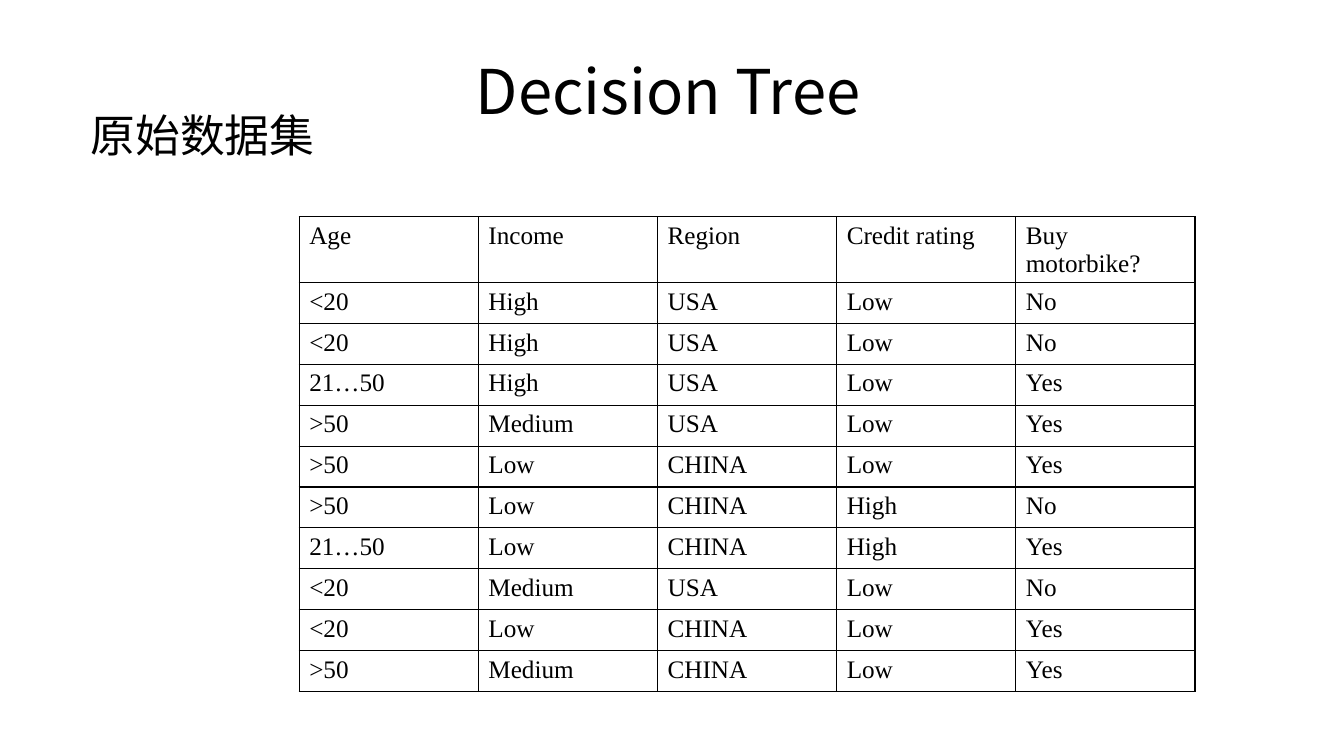
from dataclasses import dataclass

from lxml.etree import SubElement
from pptx import Presentation
from pptx.dml.color import RGBColor
from pptx.enum.text import MSO_ANCHOR, MSO_AUTO_SIZE, PP_ALIGN
from pptx.oxml.ns import qn
from pptx.slide import Slide
from pptx.table import _Cell
from pptx.text.text import TextFrame
from pptx.util import Cm, Pt


@dataclass(frozen=True)
class Theme:
    ink: str = "000000"
    heading_font: str = "Noto Sans CJK SC"
    table_font: str = "Times New Roman"
    title_size: int = 44
    label_size: int = 32
    table_size: int = 18
    border_width: int = 1


@dataclass(frozen=True)
class Area:
    """A rectangle in centimetres."""
    left: float
    top: float
    width: float
    height: float

    def lengths(self) -> tuple[Cm, Cm, Cm, Cm]:
        return Cm(self.left), Cm(self.top), Cm(self.width), Cm(self.height)


@dataclass(frozen=True)
class Customer:
    age: str
    income: str
    region: str
    credit: str
    buys: str

    def values(self) -> tuple[str, ...]:
        return self.age, self.income, self.region, self.credit, self.buys


THEME = Theme()
TITLE_AREA = Area(10.59, 0.53, 12.85, 3.68)
LABEL_AREA = Area(2.03, 2.59, 6.86, 1.63)
TABLE_AREA = Area(7.54, 5.46, 22.58, 11.33)

HEADINGS = ("Age", "Income", "Region", "Credit rating", "Buy motorbike?")
CUSTOMERS = (
    Customer("<20", "High", "USA", "Low", "No"),
    Customer("<20", "High", "USA", "Low", "No"),
    Customer("21…50", "High", "USA", "Low", "Yes"),
    Customer(">50", "Medium", "USA", "Low", "Yes"),
    Customer(">50", "Low", "CHINA", "Low", "Yes"),
    Customer(">50", "Low", "CHINA", "High", "No"),
    Customer("21…50", "Low", "CHINA", "High", "Yes"),
    Customer("<20", "Medium", "USA", "Low", "No"),
    Customer("<20", "Low", "CHINA", "Low", "Yes"),
    Customer(">50", "Medium", "CHINA", "Low", "Yes"),
)


def write(frame: TextFrame, text: str, *, font: str, size: int,
          align: PP_ALIGN = PP_ALIGN.LEFT, spacing: float = 1.0) -> None:
    frame.word_wrap = True
    para = frame.paragraphs[0]
    para.alignment = align
    para.line_spacing = spacing
    span = para.add_run()
    span.text = text
    span.font.name = font
    span.font.size = Pt(size)
    span.font.bold = False
    span.font.color.rgb = RGBColor.from_string(THEME.ink)
    SubElement(span.font._element, qn("a:ea"), typeface=font)


def add_borders(cell: _Cell) -> None:
    properties = cell._tc.get_or_add_tcPr()
    for position, side in enumerate(("a:lnL", "a:lnR", "a:lnT", "a:lnB")):
        line = properties.makeelement(qn(side), {"w": str(Pt(THEME.border_width))})
        fill = SubElement(line, qn("a:solidFill"))
        SubElement(fill, qn("a:srgbClr"), val=THEME.ink)
        properties.insert(position, line)


def add_customer_table(slide: Slide) -> None:
    rows = (HEADINGS, *(customer.values() for customer in CUSTOMERS))
    table = slide.shapes.add_table(
        len(rows), len(HEADINGS), *TABLE_AREA.lengths()).table
    table.first_row = False
    table.horz_banding = False
    for row_index, values in enumerate(rows):
        for column_index, value in enumerate(values):
            cell = table.cell(row_index, column_index)
            cell.fill.background()
            add_borders(cell)
            write(cell.text_frame, value,
                  font=THEME.table_font, size=THEME.table_size)


def add_label(slide: Slide) -> None:
    box = slide.shapes.add_textbox(*LABEL_AREA.lengths())
    box.text_frame.auto_size = MSO_AUTO_SIZE.SHAPE_TO_FIT_TEXT
    write(box.text_frame, "原始数据集",
          font=THEME.heading_font, size=THEME.label_size)


def fill_title(slide: Slide) -> None:
    title = slide.shapes.title
    title.left, title.top, title.width, title.height = TITLE_AREA.lengths()
    title.text_frame.auto_size = MSO_AUTO_SIZE.NONE
    title.text_frame.vertical_anchor = MSO_ANCHOR.MIDDLE
    write(title.text_frame, "Decision Tree ", font=THEME.heading_font,
          size=THEME.title_size, align=PP_ALIGN.CENTER, spacing=0.9)


def main() -> None:
    deck = Presentation()
    deck.slide_width, deck.slide_height = Cm(33.87), Cm(19.05)
    slide = deck.slides.add_slide(deck.slide_layouts.get_by_name("Title Only"))
    add_customer_table(slide)
    add_label(slide)
    fill_title(slide)
    deck.save("out.pptx")


if __name__ == "__main__":
    main()
